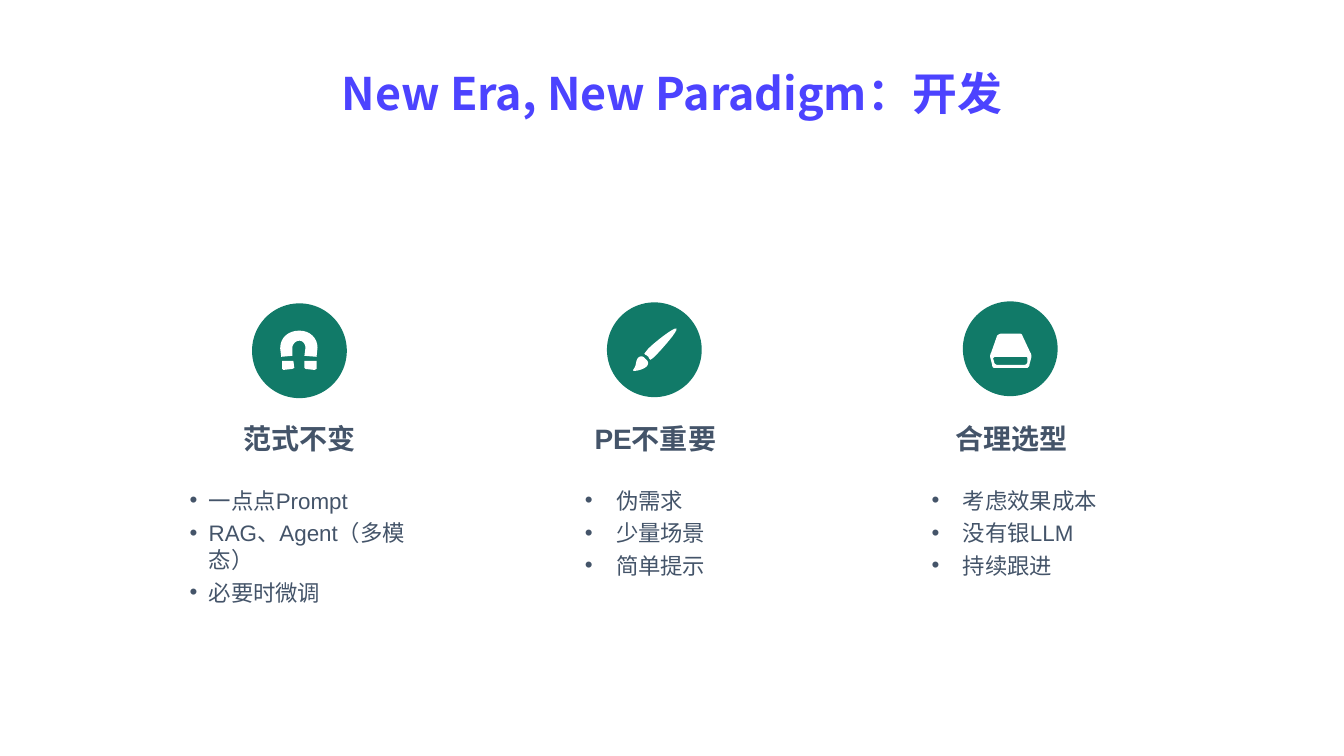
from lxml import etree
from pptx import Presentation
from pptx.dml.color import RGBColor
from pptx.enum.shapes import MSO_SHAPE
from pptx.enum.text import MSO_ANCHOR, MSO_AUTO_SIZE, PP_ALIGN
from pptx.oxml.ns import qn
from pptx.util import Emu, Pt

OVAL = MSO_SHAPE.OVAL
TOP = MSO_ANCHOR.TOP
GROW = MSO_AUTO_SIZE.SHAPE_TO_FIT_TEXT
LEFT, CENTER = PP_ALIGN.LEFT, PP_ALIGN.CENTER

PX = 9144
CURVE_STEPS = 8
THEME = {
    "title": RGBColor(0x4C, 0x43, 0xFF),
    "title_end": RGBColor(0x00, 0xB0, 0xF0),
    "text": RGBColor(0x44, 0x54, 0x69),
    "circle": RGBColor(0x11, 0x7A, 0x68),
    "icon": RGBColor(0xFF, 0xFF, 0xFF),
    "cjk": "Noto Sans CJK SC",
    "latin": "Arial",
    "title_size": Pt(32),
    "heading_size": Pt(20),
    "list_size": Pt(16),
}

MAGNET = [
    [(302, 358), (302, 365), (303, 366), (312, 367), (314, 366), (314, 358)],
    [(280, 358), (280, 366), (281, 367), (290, 366), (292, 365), (291, 358)],
    [(278, 346), (279, 354), (290, 353), (290, 345),
     (290, 342, 293, 338, 297, 338), (301, 338, 303, 342, 303, 345),
     (302, 353), (314, 354), (315, 345),
     (315, 335, 307, 328, 297, 328), (286, 328, 278, 335, 278, 345)],
]
BRUSH = [
    [(633, 355), (630, 358, 632, 362, 628, 367), (626, 369, 636, 368, 641, 364),
     (644, 361, 643, 358, 640, 356), (638, 353, 635, 353, 633, 355)],
    [(671, 326), (669, 324, 649, 340, 644, 345), (641, 348, 640, 350, 639, 351),
     (640, 352), (640, 352, 641, 352, 643, 354), (644, 356), (645, 357),
     (647, 356, 648, 355, 651, 352), (656, 347, 673, 328, 671, 326)],
]
DRIVE = [
    [(1022, 350), (1014, 333), (1014, 332, 1013, 331, 1011, 331), (993, 331),
     (992, 331, 990, 332, 989, 333), (983, 350), (982, 351, 982, 354, 982, 354),
     (984, 362), (984, 364, 985, 365, 986, 365), (1019, 365),
     (1019, 365, 1021, 364, 1021, 362), (1023, 354),
     (1023, 354, 1023, 351, 1022, 350)],
    [(1019, 356), (1019, 359), (1019, 361, 1017, 362, 1016, 362), (989, 362),
     (988, 362, 986, 361, 986, 359), (985, 356), (985, 355, 986, 354, 988, 354),
     (1017, 354), (1019, 354, 1019, 355, 1019, 356)],
]
COLUMNS = [
    {"heading": "范式不变", "circle": (250, 301), "icon": MAGNET, "idx": 1,
     "list": (188, 237), "indent": 19,
     "items": ["一点点Prompt", "RAG、Agent（多模态）", "必要时微调"]},
    {"heading": "PE不重要", "circle": (602, 300), "icon": BRUSH, "idx": 2,
     "list": (580, 173), "indent": 31,
     "items": ["伪需求", "少量场景", "简单提示"]},
    {"heading": "合理选型", "circle": (955, 299), "icon": DRIVE, "idx": 4,
     "list": (924, 196), "indent": 31,
     "items": ["考虑效果成本", "没有银LLM", "持续跟进"]},
]


def flatten(contour):
    points = [contour[0]]
    for seg in contour[1:]:
        if len(seg) == 2:
            points.append(seg)
            continue
        x0, y0 = points[-1]
        x1, y1, x2, y2, x3, y3 = seg
        for n in range(1, CURVE_STEPS + 1):
            t = n / CURVE_STEPS
            a, b, c, d = (1 - t) ** 3, 3 * t * (1 - t) ** 2, 3 * t * t * (1 - t), t ** 3
            points.append((a * x0 + b * x1 + c * x2 + d * x3,
                           a * y0 + b * y1 + c * y2 + d * y3))
    return [(round(x * PX), round(y * PX)) for x, y in points]


def write(p, text, size, bold, latin, color):
    r = p.add_run()
    r.text = text
    r.font.size, r.font.bold, r.font.name = size, bold, latin
    r.font.fill.solid()
    r.font.fill.fore_color.rgb = color
    etree.SubElement(r.font._element, qn("a:ea"), typeface=THEME["cjk"])
    return r


prs = Presentation()
prs.slide_width, prs.slide_height = Emu(1333 * PX), Emu(750 * PX)
s = prs.slides.add_slide(prs.slide_layouts[4])
bodies = {ph.placeholder_format.idx: ph for ph in s.placeholders}
unused = bodies[3]._element
unused.getparent().remove(unused)

sp = s.shapes.title
sp.left, sp.top, sp.width, sp.height = [Emu(v * PX) for v in (0, 50, 1333, 75)]
tf = sp.text_frame
tf.word_wrap, tf.auto_size, tf.vertical_anchor = True, GROW, TOP
p = tf.paragraphs[0]
p.alignment, p.line_spacing = CENTER, 1.2
r = write(p, "New Era, New Paradigm：开发", THEME["title_size"], True,
          THEME["cjk"], THEME["title"])
fill = r.font.fill
fill.gradient()
fill.gradient_angle = 310
for stop, color in zip(fill.gradient_stops, (THEME["title"], THEME["title_end"])):
    stop.color.rgb = color

for i, col in enumerate(COLUMNS):
    left, top = col["circle"]
    sp = s.shapes.add_shape(OVAL, left * PX, top * PX, 94 * PX, 94 * PX)
    sp.shadow.inherit = False
    sp.fill.solid()
    sp.fill.fore_color.rgb = THEME["circle"]
    sp.line.fill.background()

    contours = [flatten(c) for c in col["icon"]]
    fb = s.shapes.build_freeform(*contours[0][0], scale=1.0)
    fb.add_line_segments(contours[0][1:], close=True)
    for contour in contours[1:]:
        fb.move_to(*contour[0])
        fb.add_line_segments(contour[1:], close=True)
    sp = fb.convert_to_shape()
    sp.shadow.inherit = False
    sp.fill.solid()
    sp.fill.fore_color.rgb = THEME["icon"]
    sp.line.fill.background()

    heading = s.shapes.add_textbox((169 + 353 * i) * PX, 418 * PX, 256 * PX, 34 * PX)
    body = bodies[col["idx"]]
    left, width = col["list"]
    body.left, body.top, body.width, body.height = [
        Emu(v * PX) for v in (left, 483, width, 91)]
    for sp in (heading, body):
        tf = sp.text_frame
        tf.word_wrap, tf.auto_size, tf.vertical_anchor = True, GROW, TOP
        tf.margin_left = tf.margin_top = tf.margin_right = tf.margin_bottom = 0

    p = heading.text_frame.paragraphs[0]
    p.alignment = CENTER
    write(p, col["heading"], THEME["heading_size"], True, THEME["latin"], THEME["text"])

    tf = body.text_frame
    for n, item in enumerate(col["items"]):
        p = tf.add_paragraph() if n else tf.paragraphs[0]
        pPr = p._p.get_or_add_pPr()
        pPr.set("marL", str(col["indent"] * PX))
        pPr.set("indent", str(-col["indent"] * PX))
        etree.SubElement(pPr, qn("a:buFont"), typeface=THEME["latin"])
        etree.SubElement(pPr, qn("a:buChar"), char="•")
        p.alignment = LEFT
        p.space_before = Pt(4 if n else 0)
        write(p, item, THEME["list_size"], False, THEME["latin"], THEME["text"])

prs.save("out.pptx")
